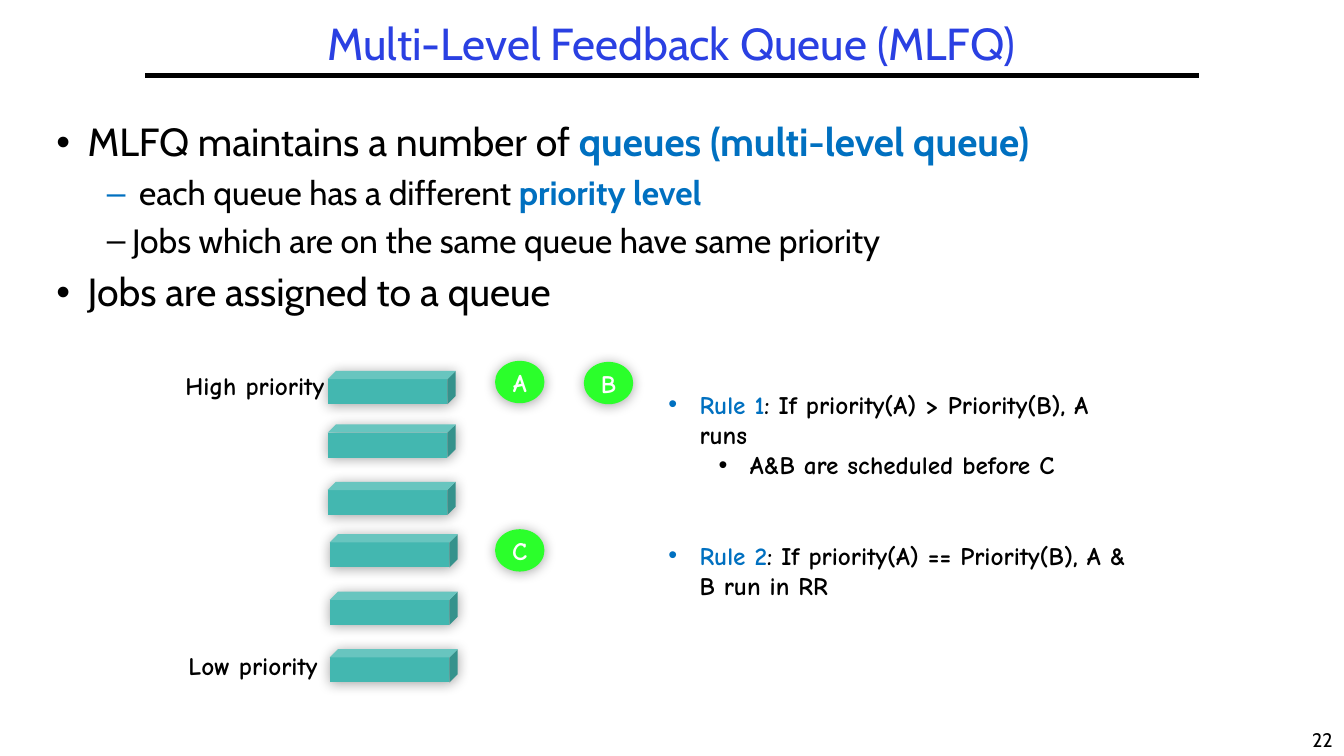
from lxml.etree import SubElement
from pptx import Presentation
from pptx.dml.color import RGBColor
from pptx.enum.shapes import MSO_CONNECTOR, MSO_SHAPE
from pptx.enum.text import MSO_ANCHOR, MSO_AUTO_SIZE, PP_ALIGN
from pptx.oxml.ns import qn
from pptx.util import Inches, Pt

BLACK = RGBColor(0x00, 0x00, 0x00)
WHITE = RGBColor(0xFF, 0xFF, 0xFF)
TITLE_BLUE = RGBColor(0x2A, 0x40, 0xE2)
ACCENT_BLUE = RGBColor(0x00, 0x70, 0xC0)
TEAL = RGBColor(0x43, 0xB7, 0xB0)
GREEN = RGBColor(0x2B, 0xFF, 0x2B)


class QueueSlide:
    heading_font = "Cabin"
    diagram_font = "Comic Neue"

    def __init__(self, presentation):
        self.slide = presentation.slides.add_slide(presentation.slide_layouts[1])

    def place(self, shape, left, top, width, height):
        shape.left, shape.top = Inches(left), Inches(top)
        shape.width, shape.height = Inches(width), Inches(height)

    def add_run(self, paragraph, text, size, font, color, bold=False):
        run = paragraph.add_run()
        run.text = text
        run.font.size = Pt(size)
        run.font.name = font
        run.font.bold = bold
        run.font.color.rgb = color

    def add_bullet(self, paragraph, mark, color, margin, hanging):
        properties = paragraph._p.get_or_add_pPr()
        properties.set("marL", str(Inches(margin)))
        properties.set("indent", str(-Inches(hanging)))
        bullet_color = SubElement(properties, qn("a:buClr"))
        SubElement(bullet_color, qn("a:srgbClr"), val=str(color))
        SubElement(properties, qn("a:buFont"), typeface="Arial")
        SubElement(properties, qn("a:buChar"), char=mark)

    def add_list(self, frame, items, font, line_spacing):
        frame.word_wrap = True
        frame.auto_size = MSO_AUTO_SIZE.NONE
        for index, (level, mark, margin, hanging, size, before, runs) in enumerate(items):
            paragraph = frame.add_paragraph() if index else frame.paragraphs[0]
            paragraph.level = level
            self.add_bullet(paragraph, mark, runs[0][1] if level == 0 and font == self.diagram_font
                            else ACCENT_BLUE if len(runs) > 1 and level else BLACK, margin, hanging)
            paragraph.line_spacing = line_spacing
            paragraph.space_before = Pt(before)
            for text, color, bold in runs:
                self.add_run(paragraph, text, size, font, color, bold)

    def add_title(self, text):
        title = self.slide.shapes.title
        self.place(title, 0.46, 0.17, 12.4, 0.58)
        title.text_frame.auto_size = MSO_AUTO_SIZE.NONE
        title.text_frame.vertical_anchor = MSO_ANCHOR.MIDDLE
        paragraph = title.text_frame.paragraphs[0]
        paragraph.alignment = PP_ALIGN.CENTER
        paragraph.line_spacing = 0.9
        self.add_run(paragraph, text, 32, self.heading_font, TITLE_BLUE)

    def add_body(self, items):
        body = self.slide.placeholders[1]
        self.place(body, 0.46, 1.17, 12.4, 5.99)
        self.add_list(body.text_frame, items, self.heading_font, 0.9)

    def add_rules(self, items):
        box = self.slide.shapes.add_textbox(Inches(6.53), Inches(3.81), Inches(4.77), Inches(2.52))
        self.add_list(box.text_frame, items, self.diagram_font, 1.0)

    def add_rule_line(self, left, right, top):
        line = self.slide.shapes.add_connector(
            MSO_CONNECTOR.STRAIGHT, Inches(left), Inches(top), Inches(right), Inches(top))
        line.line.color.rgb = BLACK
        line.line.width = Pt(3)
        SubElement(line._element.spPr, qn("a:effectLst"))

    def add_shadowed(self, kind, left, top, width, height, color):
        shape = self.slide.shapes.add_shape(
            kind, Inches(left), Inches(top), Inches(width), Inches(height))
        shape.fill.solid()
        shape.fill.fore_color.rgb = color
        shape.line.fill.background()
        shape.shadow.inherit = False
        effects = shape._element.spPr.find(qn("a:effectLst"))
        shadow = SubElement(effects, qn("a:outerShdw"), blurRad=str(Pt(9)), dist=str(Pt(1)),
                            dir="5400000", rotWithShape="0")
        shadow_color = SubElement(shadow, qn("a:srgbClr"), val=str(BLACK))
        SubElement(shadow_color, qn("a:alpha"), val="35000")
        return shape

    def add_queue(self, left, top):
        self.add_shadowed(MSO_SHAPE.CUBE, left, top, 1.27, 0.33, TEAL)

    def add_job(self, name, left, top):
        job = self.add_shadowed(MSO_SHAPE.OVAL, left, top, 0.49, 0.42, GREEN)
        job.text_frame.vertical_anchor = MSO_ANCHOR.MIDDLE
        paragraph = job.text_frame.paragraphs[0]
        paragraph.alignment = PP_ALIGN.CENTER
        self.add_run(paragraph, name, 18, self.diagram_font, WHITE, True)

    def add_label(self, text, left, top, width, height, size, font, bold, alignment):
        box = self.slide.shapes.add_textbox(
            Inches(left), Inches(top), Inches(width), Inches(height))
        box.text_frame.word_wrap = False
        paragraph = box.text_frame.paragraphs[0]
        paragraph.alignment = alignment
        self.add_run(paragraph, text, size, font, BLACK, bold)


def main():
    presentation = Presentation()
    presentation.slide_width = Inches(13.33)
    presentation.slide_height = Inches(7.5)
    page = QueueSlide(presentation)

    page.add_label("22", 12.9, 7.17, 0.43, 0.33, 14, page.heading_font, False, PP_ALIGN.CENTER)
    page.add_rule_line(1.44, 11.89, 0.75)
    page.add_title("Multi-Level Feedback Queue (MLFQ)")
    page.add_body([
        (0, "•", 0.31, 0.31, 28, 0, [("MLFQ maintains a number of ", BLACK, False),
                                     ("queues (multi-level queue)", ACCENT_BLUE, True)]),
        (1, "–", 0.82, 0.32, 24, 8, [("each queue has a different ", BLACK, False),
                                     ("priority level", ACCENT_BLUE, True)]),
        (1, "–", 0.75, 0.25, 24, 8,
         [("Jobs which are on the same queue have same priority", BLACK, False)]),
        (0, "•", 0.31, 0.31, 28, 9, [("Jobs are assigned to a queue", BLACK, False)]),
    ])

    for left, tops in ((3.25, (3.68, 4.21, 4.78)), (3.27, (5.3, 5.87, 6.44))):
        for top in tops:
            page.add_queue(left, top)
    for name, left, top in (("A", 4.91, 3.58), ("B", 5.79, 3.59), ("C", 4.91, 5.25)):
        page.add_job(name, left, top)
    for text, left, top, width in (("High priority", 1.74, 3.62, 1.76),
                                   ("Low priority", 1.77, 6.4, 1.67)):
        page.add_label(text, left, top, width, 0.4, 18, page.diagram_font, True, PP_ALIGN.LEFT)

    page.add_rules([
        (0, "•", 0.31, 0.31, 18, 0, [("Rule 1", ACCENT_BLUE, True),
                                     (": If priority(A) > Priority(B), A runs", BLACK, True)]),
        (1, "•", 0.81, 0.31, 18, 0, [("A&B are scheduled before C", BLACK, True)]),
        (0, "•", 0.31, 0.31, 18, 43, [("Rule 2", ACCENT_BLUE, True),
                                      (": If priority(A) == Priority(B), A & B run in RR", BLACK, True)]),
    ])
    presentation.save("out.pptx")


if __name__ == "__main__":
    main()
